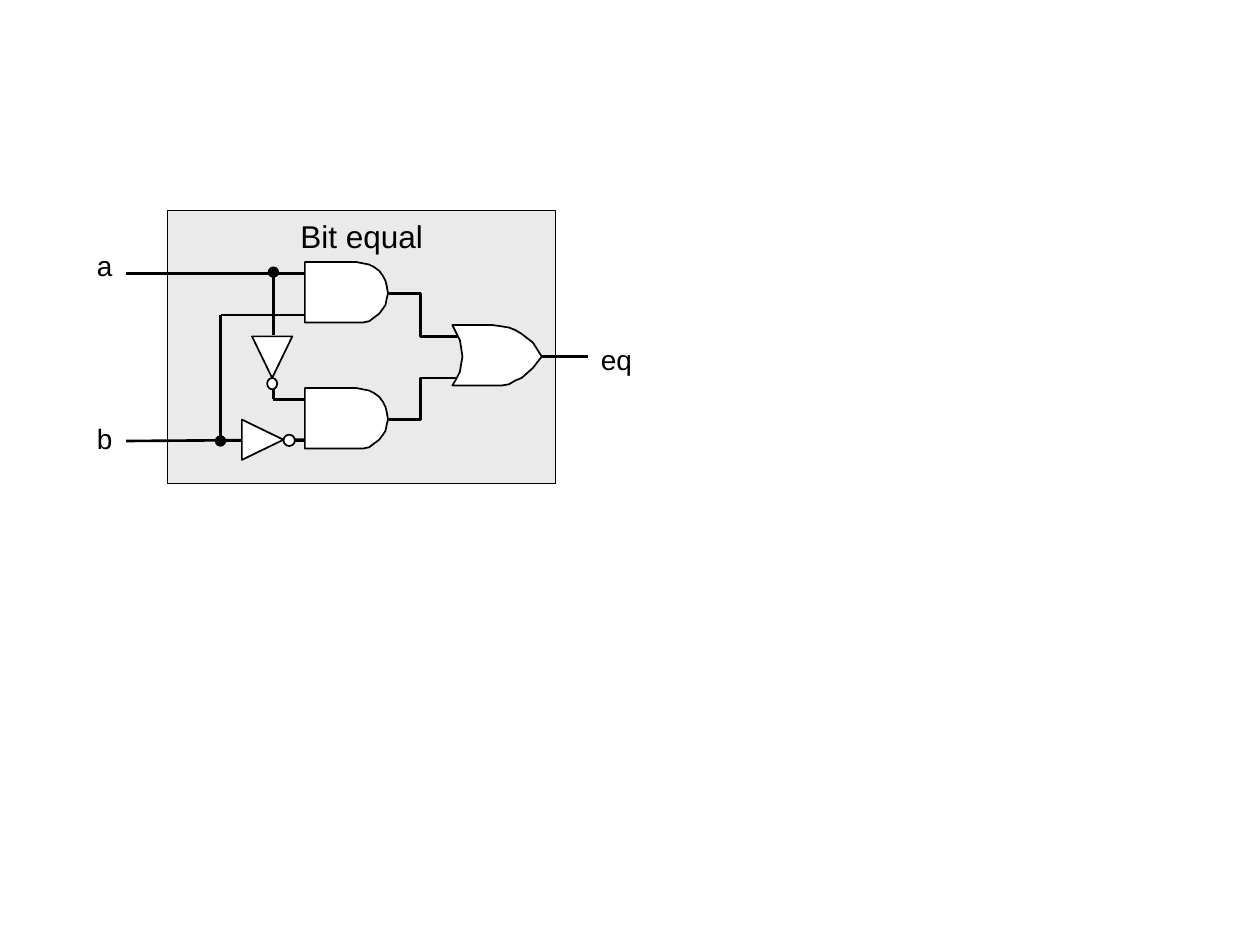
from dataclasses import dataclass
from lxml.etree import SubElement
from pptx import Presentation
from pptx.dml.color import RGBColor
from pptx.enum.shapes import MSO_CONNECTOR, MSO_SHAPE
from pptx.enum.text import MSO_ANCHOR, PP_ALIGN
from pptx.oxml.ns import qn
from pptx.util import Inches, Pt


@dataclass(frozen=True)
class Theme:
    ink: RGBColor = RGBColor(0x00, 0x00, 0x00)
    panel: RGBColor = RGBColor(0xEA, 0xEA, 0xEA)
    gate: RGBColor = RGBColor(0xFF, 0xFF, 0xFF)
    font: str = "Arial"
    title_size: Pt = Pt(18)
    label_size: Pt = Pt(16)
    thin: Pt = Pt(0.75)
    outline: Pt = Pt(1)
    wire: Pt = Pt(1.5)


theme = Theme()


def style_shape(shape, fill, line_width):
    shape.shadow.inherit = False
    if fill is None:
        shape.fill.background()
    else:
        shape.fill.solid()
        shape.fill.fore_color.rgb = fill
    shape.line.color.rgb = theme.ink
    shape.line.width = line_width


def draw_outline(points, left=0, top=0, fill=None, line_width=theme.outline):
    """Draw points shifted by left and top; only a filled outline is closed."""
    corners = [(Inches(left + x), Inches(top + y)) for x, y in points]
    builder = slide.shapes.build_freeform(*corners[0])
    builder.add_line_segments(corners[1:], close=fill is not None)
    style_shape(builder.convert_to_shape(), fill, line_width)


presentation = Presentation()
presentation.slide_width = Inches(10)
presentation.slide_height = Inches(7.5)
slide = presentation.slides.add_slide(presentation.slide_layouts[6])

# Enclosing block with its name
block = slide.shapes.add_shape(
    MSO_SHAPE.RECTANGLE, Inches(1.33), Inches(1.67), Inches(3.08), Inches(2.17))
style_shape(block, theme.panel, theme.thin)
text_frame = block.text_frame
text_frame.text = "Bit equal"
text_frame.word_wrap = False
text_frame.vertical_anchor = MSO_ANCHOR.TOP
paragraph = text_frame.paragraphs[0]
paragraph.alignment = PP_ALIGN.CENTER
paragraph.font.name = theme.font
paragraph.font.size = theme.title_size
paragraph.font.color.rgb = theme.ink

# Wires from the AND gates to the OR gate
for start_y, end_y in [(2.33, 2.67), (3.33, 3)]:
    draw_outline([(3.09, start_y), (3.34, start_y), (3.34, end_y), (3.67, end_y)],
                 line_width=theme.wire)

# Straight wires
wires = [
    (1, 2.17, 2.42, 2.17),
    (2.17, 2.17, 2.17, 2.66),
    (2.17, 3, 2.17, 3.17),
    (2.17, 3.17, 2.42, 3.17),
    (1, 3.5, 2.42, 3.49),
    (1.75, 3.5, 1.92, 3.5),
    (2.25, 3.5, 2.42, 3.5),
    (1.75, 3.5, 1.75, 2.5),
    (1.75, 2.5, 2.42, 2.5),
    (4.24, 2.83, 4.67, 2.83),
]
for ends in wires:
    wire = slide.shapes.add_connector(
        MSO_CONNECTOR.STRAIGHT, *[Inches(value) for value in ends])
    wire.line.color.rgb = theme.ink
    wire.line.width = theme.wire
    SubElement(wire._element.spPr, qn("a:effectLst"))

# Gates and inverter triangles
and_gate = [
    (0, 0), (0.41, 0), (0.46, 0.01), (0.51, 0.02), (0.55, 0.04), (0.59, 0.07),
    (0.62, 0.11), (0.64, 0.15), (0.65, 0.19), (0.66, 0.25), (0.65, 0.29),
    (0.64, 0.34), (0.62, 0.37), (0.59, 0.41), (0.55, 0.44), (0.51, 0.47),
    (0.46, 0.48), (0.41, 0.48), (0, 0.48),
]
or_gate = [
    (0, 0), (0.32, 0), (0.39, 0.01), (0.45, 0.02), (0.5, 0.04), (0.55, 0.07),
    (0.64, 0.14), (0.71, 0.25), (0.64, 0.34), (0.55, 0.42), (0.5, 0.44),
    (0.45, 0.47), (0.39, 0.48), (0.32, 0.48), (0, 0.48), (0.03, 0.43),
    (0.06, 0.37), (0.07, 0.31), (0.08, 0.25), (0.07, 0.18), (0.06, 0.12),
    (0.03, 0.06),
]
right_triangle = [(0, 0.32), (0, 0), (0.33, 0.16)]
down_triangle = [(0.32, 0), (0, 0), (0.16, 0.33)]
for points, left, top in [
    (or_gate, 3.59, 2.58),
    (and_gate, 2.42, 2.08),
    (and_gate, 2.42, 3.08),
    (down_triangle, 2, 2.67),
    (right_triangle, 1.92, 3.33),
]:
    draw_outline(points, left, top, fill=theme.gate)

# Inverter bubbles and wire junctions
for left, top, width, height, fill, line_width in [
    (2.12, 3, 0.08, 0.09, theme.gate, theme.outline),
    (2.25, 3.45, 0.09, 0.09, theme.gate, theme.outline),
    (2.13, 2.12, 0.08, 0.08, theme.ink, theme.thin),
    (1.71, 3.46, 0.08, 0.08, theme.ink, theme.thin),
]:
    dot = slide.shapes.add_shape(
        MSO_SHAPE.OVAL, Inches(left), Inches(top), Inches(width), Inches(height))
    style_shape(dot, fill, line_width)

# Signal names
for name, left, top, width, alignment, wrap in [
    ("a", 0.67, 1.92, 0.32, PP_ALIGN.RIGHT, False),
    ("b", 0.67, 3.3, 0.32, PP_ALIGN.RIGHT, False),
    ("eq", 4.67, 2.67, 0.66, PP_ALIGN.LEFT, True),
]:
    label = slide.shapes.add_textbox(
        Inches(left), Inches(top), Inches(width), Inches(0.37))
    label.text_frame.text = name
    label.text_frame.word_wrap = wrap
    paragraph = label.text_frame.paragraphs[0]
    paragraph.alignment = alignment
    paragraph.font.name = theme.font
    paragraph.font.size = theme.label_size
    paragraph.font.color.rgb = theme.ink

presentation.save("out.pptx")
